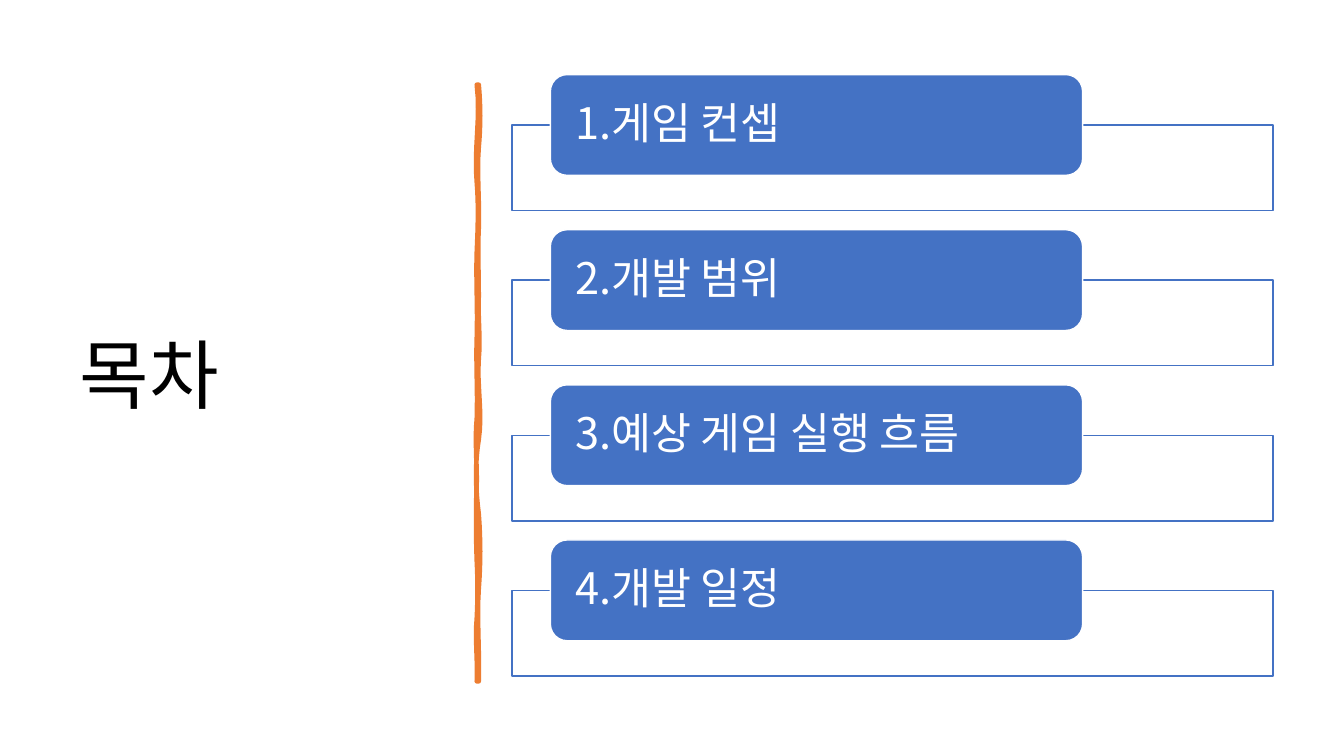
from lxml.etree import SubElement
from pptx import Presentation
from pptx.dml.color import RGBColor
from pptx.enum.shapes import MSO_SHAPE as SHAPE
from pptx.enum.text import MSO_ANCHOR as ANCHOR, PP_ALIGN as ALIGN
from pptx.oxml.ns import qn
from pptx.util import Pt

BLUE, ORANGE, WHITE, BLACK = "4472C4", "ED7D31", "FFFFFF", "000000"
TOPICS = ["1.게임 컨셉", "2.개발 범위", "3.예상 게임 실행 흐름", "4.개발 일정"]
ROW_TOP, ROW_PITCH = 53.3, 110.8

# Each wave: two sideways bends, then the height at which it ends.
STROKE_TOP, STROKE_BOTTOM = 60.5, 486.7
RIGHT_X, LEFT_X = 342, 340.6
RIGHT_WAVES = [(1.4, 1.4, 105.1), (-1.4, 0.7, 162.7), (-0.7, 0, 211.7),
               (-0.7, 1.4, 256.3), (-1.4, 2.9, 313.9), (-2.9, -2.2, 367.2),
               (1.4, 1.4, 420.5), (-1.4, 0.7, STROKE_BOTTOM)]
LEFT_WAVES = [(0.7, -1.4, 441.4), (0.7, 0.7, 401), (-0.7, -0.7, 343.4),
              (0, -1.4, 298.8), (0.7, -0.7, 241.2), (0.7, -0.7, 180),
              (0.7, 1.4, 130.3), (-2.2, 2.9, STROKE_TOP)]


def rgb(color):
    return RGBColor.from_string(color)


def wavy_edge(x, y, waves, steps=8):
    """Return the points of a near-vertical edge bent by cubic curves."""
    points = []
    for bend1, bend2, end in waves:
        for i in range(1, steps + 1):
            t = i / steps
            dx = 3 * t * (1 - t) * ((1 - t) * bend1 + t * bend2)
            points.append((Pt(x + dx), Pt(y + (end - y) * t)))
        y = end
    return points


class SlideBuilder:
    font = "Noto Sans CJK KR"

    def __init__(self, prs):
        self.s = prs.slides.add_slide(prs.slide_layouts[5])

    def style(self, sp, fill, line, width):
        sp.shadow.inherit = False
        sp.fill.solid()
        sp.fill.fore_color.rgb = rgb(fill)
        sp.line.color.rgb = rgb(line)
        sp.line.width = Pt(width)

    def text(self, sp, text, size, color, margins):
        tf = sp.text_frame
        tf.word_wrap = True
        tf.vertical_anchor = ANCHOR.MIDDLE
        tf.margin_left = tf.margin_right = Pt(margins[0])
        tf.margin_top = tf.margin_bottom = Pt(margins[1])
        p = tf.paragraphs[0]
        p.alignment = ALIGN.LEFT
        p.line_spacing = 0.9
        r = p.add_run()
        r.text = text
        r.font.size = Pt(size)
        r.font.name = self.font
        r.font.color.rgb = rgb(color)
        SubElement(r.font._element, qn("a:ea"), typeface=self.font)

    def title(self, text, x, y, w, h):
        sp = self.s.shapes.title
        sp.left, sp.top, sp.width, sp.height = Pt(x), Pt(y), Pt(w), Pt(h)
        self.text(sp, text, 54, BLACK, (7.2, 3.6))

    def box(self, kind, x, y, w, h, fill, line):
        sp = self.s.shapes.add_shape(kind, Pt(x), Pt(y), Pt(w), Pt(h))
        self.style(sp, fill, line, 1)
        return sp

    def brush_stroke(self):
        edge = wavy_edge(RIGHT_X, STROKE_TOP, RIGHT_WAVES)
        edge.append((Pt(LEFT_X), Pt(STROKE_BOTTOM)))
        edge += wavy_edge(LEFT_X, STROKE_BOTTOM, LEFT_WAVES)
        fb = self.s.shapes.build_freeform(Pt(RIGHT_X), Pt(STROKE_TOP))
        fb.add_line_segments(edge, close=True)
        sp = fb.convert_to_shape()
        self.style(sp, ORANGE, ORANGE, 3.25)
        SubElement(sp.line._get_or_add_ln(), qn("a:round"))

    def topic(self, text, y):
        frame = self.box(SHAPE.RECTANGLE, 365.8, y + 36, 543.6, 61.2, WHITE, BLUE)
        color = frame.fill._xPr.find(qn("a:solidFill"))[0]
        SubElement(color, qn("a:alpha"), val="90000")
        label = self.box(SHAPE.ROUNDED_RECTANGLE, 393.1, y, 380.2, 72, BLUE, WHITE)
        self.text(label, text, 31, WHITE, (14.4, 0))


def main():
    prs = Presentation()
    prs.slide_width, prs.slide_height = Pt(960), Pt(540)
    slide = SlideBuilder(prs)
    slide.title("목차", 49.7, 50.4, 269.3, 490.3 - 50.4)
    slide.brush_stroke()
    for i, topic in enumerate(TOPICS):
        slide.topic(topic, ROW_TOP + i * ROW_PITCH)
    prs.save("out.pptx")


if __name__ == "__main__":
    main()
